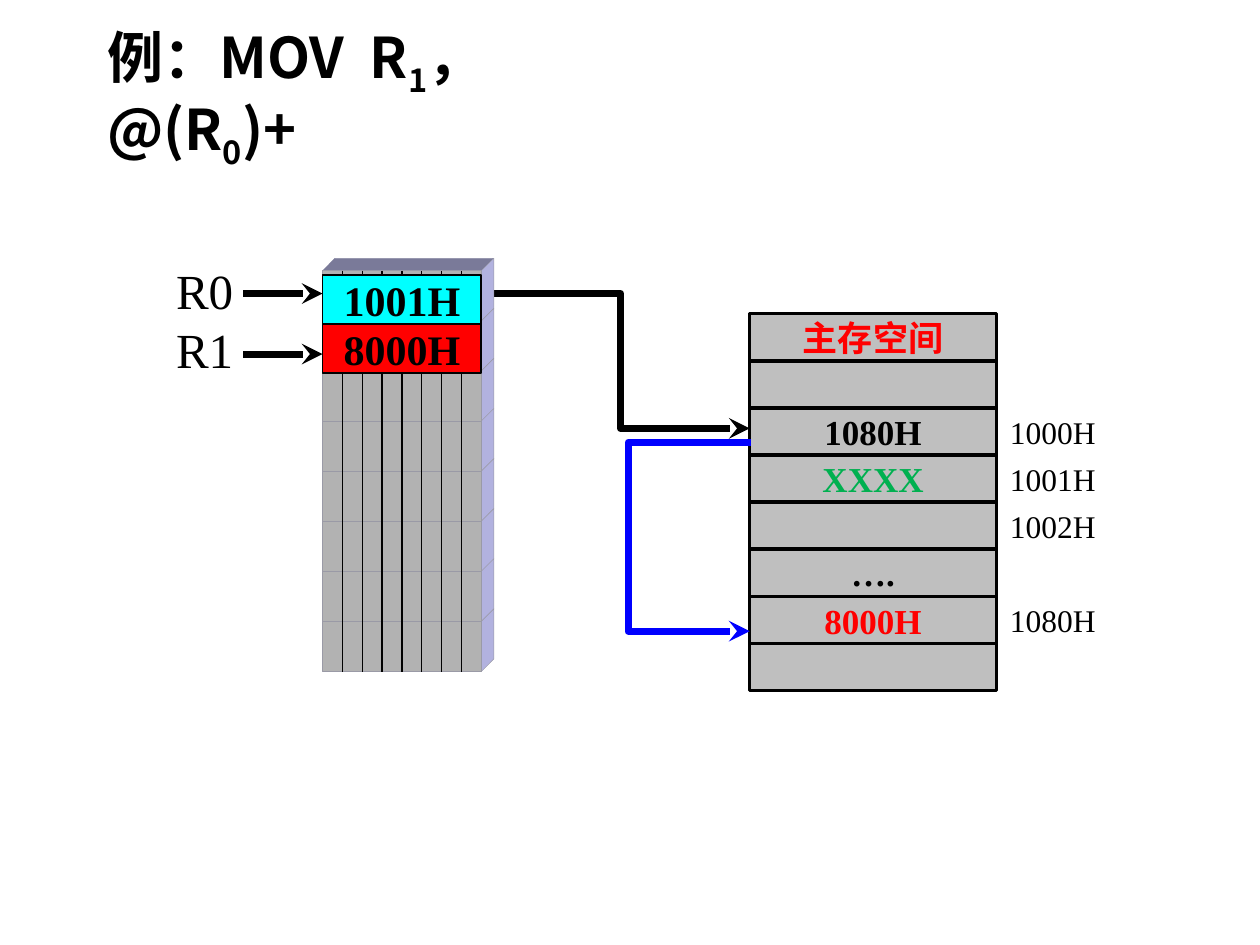
from lxml.etree import SubElement
from pptx import Presentation
from pptx.dml.color import RGBColor
from pptx.enum.shapes import MSO_CONNECTOR, MSO_SHAPE
from pptx.enum.text import MSO_ANCHOR, MSO_AUTO_SIZE, PP_ALIGN
from pptx.oxml.ns import qn
from pptx.util import Inches, Pt

BLACK = RGBColor(0x00, 0x00, 0x00)
RED = RGBColor(0xFF, 0x00, 0x00)
GREEN = RGBColor(0x00, 0xB0, 0x50)
BLUE = RGBColor(0x00, 0x00, 0xFF)
CYAN = RGBColor(0x00, 0xFF, 0xFF)
MEMORY_GRAY = RGBColor(0xBF, 0xBF, 0xBF)
FRONT_GRAY = RGBColor(0xB2, 0xB2, 0xB2)
EDGE_GRAY = RGBColor(0x9A, 0x9A, 0xA6)
SIDE_LILAC = RGBColor(0xB2, 0xB2, 0xDF)
TOP_PURPLE = RGBColor(0x7A, 0x7A, 0x99)
SERIF = "Times New Roman"
SANS = "Noto Sans CJK SC"


def write(box, text, size=20, color=BLACK, bold=False, font=SERIF,
          align=PP_ALIGN.CENTER, anchor=MSO_ANCHOR.MIDDLE, wrap=True):
    frame = box.text_frame
    frame.word_wrap = wrap
    frame.vertical_anchor = anchor
    para = frame.paragraphs[0]
    para.alignment = align
    for index, part in enumerate(text.split("_")):
        span = para.add_run()
        span.text = part
        span.font.size = Pt(size)
        span.font.bold = bold
        span.font.name = font
        span.font.color.rgb = color
        properties = span.font._element
        SubElement(properties, qn("a:ea")).set("typeface", SANS)
        if index % 2:
            properties.set("baseline", "-25000")
    return para


def connect(kind, start, end, color=BLACK, width=4, arrow=True, bend=None):
    line = page.shapes.add_connector(kind, *map(Inches, start + end))
    line.line.color.rgb = color
    line.line.width = Pt(width)
    if arrow:
        SubElement(line.line._get_or_add_ln(), qn("a:tailEnd")).set("type", "stealth")
    SubElement(line._element.spPr, qn("a:effectLst"))
    if bend is not None:
        geometry = line._element.spPr.find(qn("a:prstGeom"))
        guide = SubElement(geometry.find(qn("a:avLst")), qn("a:gd"))
        guide.set("name", "adj1")
        guide.set("fmla", f"val {round(bend * 100000)}")


deck = Presentation()
deck.slide_width, deck.slide_height = Inches(10), Inches(7.5)
page = deck.slides.add_slide(deck.slide_layouts[5])

title = page.shapes.title
title.left, title.top, title.width, title.height = map(Inches, (0.75, 0.13, 4.65, 0.64))
title.text_frame.auto_size = MSO_AUTO_SIZE.SHAPE_TO_FIT_TEXT
title_para = write(title, "例：MOV  R_1_，@(R_0_)+", size=32, bold=True, font=SANS,
                   align=PP_ALIGN.LEFT, anchor=MSO_ANCHOR.TOP)
title_para.line_spacing = 0.94

for name, label_top, arrow_y in (("R0", 2.02, 2.33), ("R1", 2.49, 2.81)):
    label = page.shapes.add_textbox(*map(Inches, (1.3, label_top, 0.66, 0.57)))
    write(label, name, size=28, align=PP_ALIGN.LEFT, anchor=MSO_ANCHOR.TOP, wrap=False)
    connect(MSO_CONNECTOR.STRAIGHT, (1.93, arrow_y), (2.56, arrow_y))

connect(MSO_CONNECTOR.ELBOW, (3.9, 2.33), (5.95, 3.4))

left, top, width, bottom, depth = 2.56, 2.15, 1.26, 5.33, 0.1
right = left + width
row_height = (bottom - top) / 8
faces = [(TOP_PURPLE, ((left, top), (left + depth, top - depth),
                       (right + depth, top - depth), (right, top)))]
for row in range(8):
    y = top + row * row_height
    faces.append((SIDE_LILAC, ((right, y), (right + depth, y - depth),
                               (right + depth, y + row_height - depth),
                               (right, y + row_height))))
for color, corners in faces:
    points = [(Inches(x), Inches(y)) for x, y in corners]
    builder = page.shapes.build_freeform(*points[0])
    builder.add_line_segments(points[1:], close=True)
    face = builder.convert_to_shape()
    face.shadow.inherit = False
    face.fill.solid()
    face.fill.fore_color.rgb = color
    face.line.color.rgb = color if color == TOP_PURPLE else EDGE_GRAY
    face.line.width = Pt(0.25)

cells = [(left, top + row * row_height, width, row_height, FRONT_GRAY, EDGE_GRAY, 0.5, "", 20, BLACK)
         for row in range(8)]
memory = [("主存空间", RED), ("", BLACK), ("1080H", BLACK), ("XXXX", GREEN),
          ("", BLACK), ("….", BLACK), ("8000H", RED), ("", BLACK)]
cells += [(5.95, 2.49 + row * 0.374, 1.96, 0.374, MEMORY_GRAY, BLACK, 2, text, 20, color)
          for row, (text, color) in enumerate(memory)]
cells += [(left, 2.57, width, 0.39, RED, BLACK, 1, "8000H", 24, BLACK),
          (left, 2.18, width, 0.39, CYAN, BLACK, 1, "1001H", 24, BLACK)]

for index, (x, y, cell_width, height, fill, edge, weight, text, size, color) in enumerate(cells):
    cell = page.shapes.add_shape(MSO_SHAPE.RECTANGLE, *map(Inches, (x, y, cell_width, height)))
    cell.shadow.inherit = False
    cell.fill.solid()
    cell.fill.fore_color.rgb = fill
    cell.line.color.rgb = edge
    cell.line.width = Pt(weight)
    if text:
        write(cell, text, size=size, color=color, bold=True, wrap=size == 20)
    if index < 8:
        for bit in range(1, 8):
            bit_x = left + bit * width / 8
            connect(MSO_CONNECTOR.STRAIGHT, (bit_x, y), (bit_x, y + height),
                    width=0.75, arrow=False)

for row, address in ((2, "1000H"), (3, "1001H"), (4, "1002H"), (6, "1080H")):
    label = page.shapes.add_textbox(*map(Inches, (7.84, 2.49 + row * 0.374, 1.03, 0.374)))
    write(label, address, size=18)

connect(MSO_CONNECTOR.ELBOW, (5.96, 3.51), (5.95, 5.01), color=BLUE, bend=99)

deck.save("out.pptx")
